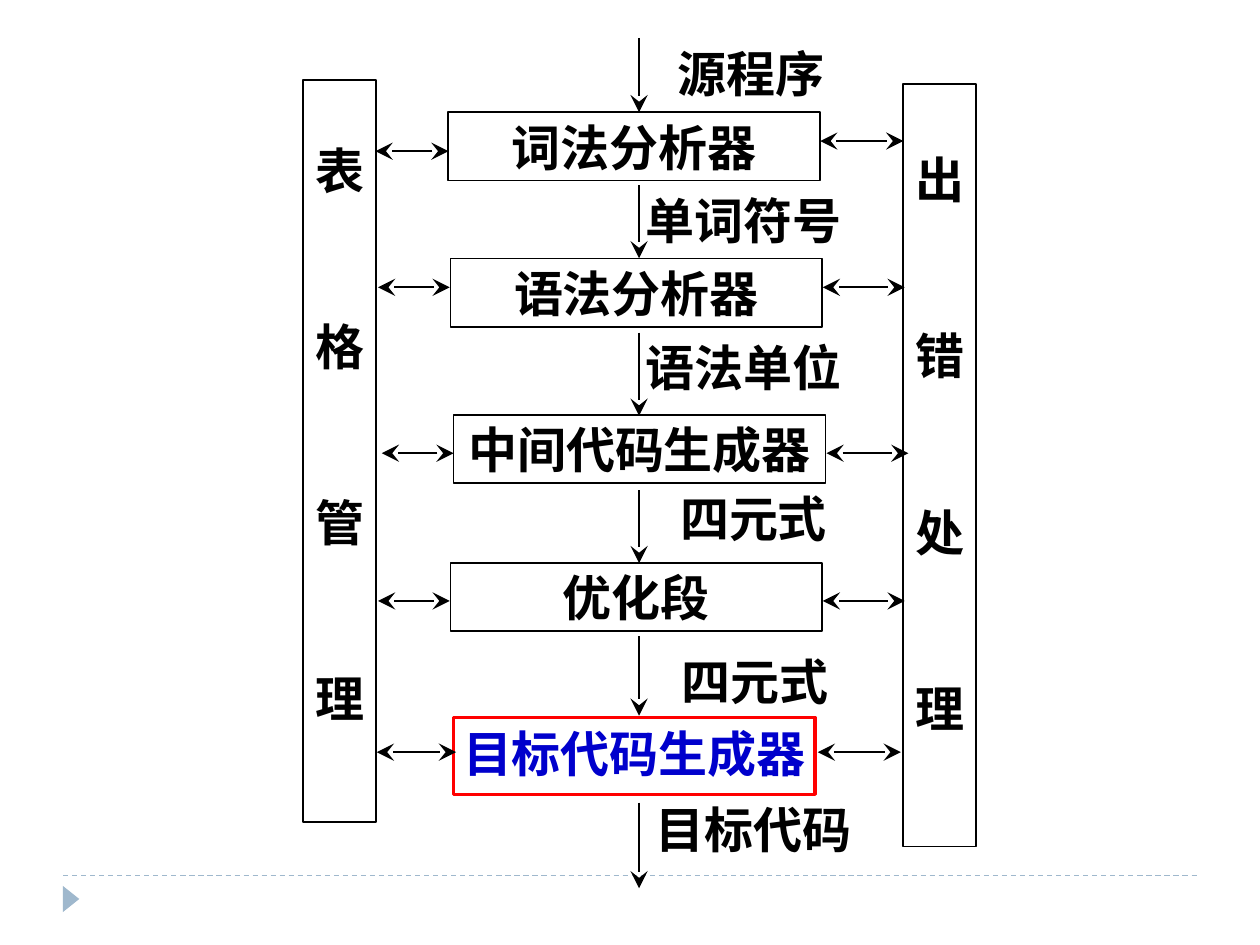
from typing import NamedTuple

from lxml.etree import SubElement
from pptx import Presentation
from pptx.dml.color import RGBColor
from pptx.enum.dml import MSO_LINE
from pptx.enum.shapes import MSO_CONNECTOR, MSO_SHAPE
from pptx.enum.text import MSO_ANCHOR, PP_ALIGN
from pptx.oxml.ns import qn
from pptx.util import Pt

COLORS = {"black": "000000", "red": "FF0000", "blue": "0000CC", "footer": "9FB8CD"}
FONT = {"name": "Noto Sans CJK SC", "size": Pt(28), "bold": True}
FLOW_X = 365.2
LABEL_WIDTH, LABEL_HEIGHT = 124, 42
COLUMN_WIDTH, COLUMN_GAP = 41.4, 67.1


class Stage(NamedTuple):
    text: str
    left: float
    top: float
    width: float = 212.5
    height: float = 39
    text_color: str = "black"
    border: str = "black"
    border_width: float = 1
    bottom_inset: float = 0


class Flow(NamedTuple):
    text: str
    start: float
    end: float
    label_x: float  # centre of the label
    label_y: float


class SideColumn(NamedTuple):
    text: str
    left: float
    top: float
    height: float
    top_inset: float


class Exchange(NamedTuple):
    left_y: float
    left_from: float
    left_to: float
    right_y: float
    right_from: float
    right_to: float


STAGES = [
    Stage("词法分析器", 256.2, 64.2),
    Stage("语法分析器", 257.4, 147.8),
    Stage("中间代码生成器", 259.2, 237),
    Stage("优化段", 257.4, 321.8),
    Stage("目标代码生成器", 259.2, 410, 206.6, 44, "blue", "red", 1.75, 4),
]
FLOWS = [
    Flow("源程序", 21.6, 64.1, 429.1, 41.8),
    Flow("单词符号", 105.8, 147.6, 424.8, 125.6),
    Flow("语法单位", 190.1, 237.6, 424.8, 209.6),
    Flow("四元式", 280.1, 321.8, 430.6, 296),
    Flow("四元式", 363.6, 409, 431.3, 389.2),
    Flow("目标代码", 458.6, 507.6, 430.6, 473.6),
]
SIDE_COLUMNS = [
    SideColumn("表格管理", 173.3, 45.8, 424, 34.3),
    SideColumn("出错处理", 516.2, 48.1, 435.6, 37.4),
]
EXCHANGES = [
    Exchange(86.4, 256.3, 214.6, 80.6, 468.7, 516.2),
    Exchange(164.2, 257, 216, 164.2, 470.2, 517),
    Exchange(259, 259.2, 218.2, 259, 472.3, 519.1),
    Exchange(343.4, 257, 216, 343.4, 470.2, 517),
    Exchange(429.8, 260.6, 215.3, 429.8, 467.3, 514.8),
]


def color(key: str) -> RGBColor:
    return RGBColor.from_string(COLORS[key])


def write_text(shape, lines: list[str], text_color: str = "black",
               anchor=MSO_ANCHOR.MIDDLE, top_inset: float = 0,
               bottom_inset: float = 0, gap: float = 0) -> None:
    frame = shape.text_frame
    settings = {"word_wrap": True, "vertical_anchor": anchor,
                "margin_left": 0, "margin_right": 0,
                "margin_top": Pt(top_inset), "margin_bottom": Pt(bottom_inset)}
    for key, value in settings.items():
        setattr(frame, key, value)
    for index, line in enumerate(lines):
        paragraph = frame.add_paragraph() if index else frame.paragraphs[0]
        paragraph.alignment = PP_ALIGN.CENTER
        if index:
            paragraph.space_before = Pt(gap)
        run = paragraph.add_run()
        run.text = line
        for key, value in FONT.items():
            setattr(run.font, key, value)
        run.font.color.rgb = color(text_color)
        SubElement(run.font._element, qn("a:ea"), typeface=FONT["name"])


def add_frame(slide, left: float, top: float, width: float, height: float,
              border: str = "black", border_width: float = 1):
    frame = slide.shapes.add_shape(MSO_SHAPE.RECTANGLE, Pt(left), Pt(top),
                                   Pt(width), Pt(height))
    frame.shadow.inherit = False
    frame.fill.background()
    frame.line.color.rgb = color(border)
    frame.line.width = Pt(border_width)
    return frame


def add_line(slide, x1: float, y1: float, x2: float, y2: float,
             ends: tuple = (), line_color: str = "black", width: float = 1):
    connector = slide.shapes.add_connector(MSO_CONNECTOR.STRAIGHT,
                                           Pt(x1), Pt(y1), Pt(x2), Pt(y2))
    connector.line.color.rgb = color(line_color)
    connector.line.width = Pt(width)
    outline = connector.line._get_or_add_ln()
    for end in ends:
        SubElement(outline, qn(f"a:{end}"), type="stealth", w="lg", len="lg")
    SubElement(connector._element.spPr, qn("a:effectLst"))
    return connector


def add_stage(slide, stage: Stage) -> None:
    box = add_frame(slide, stage.left, stage.top, stage.width, stage.height,
                    stage.border, stage.border_width)
    write_text(box, [stage.text], stage.text_color,
               bottom_inset=stage.bottom_inset)


def add_flow(slide, flow: Flow) -> None:
    add_line(slide, FLOW_X, flow.start, FLOW_X, flow.end, ("tailEnd",))
    label = slide.shapes.add_textbox(Pt(flow.label_x - LABEL_WIDTH / 2),
                                     Pt(flow.label_y - LABEL_HEIGHT / 2),
                                     Pt(LABEL_WIDTH), Pt(LABEL_HEIGHT))
    write_text(label, [flow.text])


def add_side_column(slide, column: SideColumn) -> None:
    box = add_frame(slide, column.left, column.top, COLUMN_WIDTH, column.height)
    write_text(box, list(column.text), anchor=MSO_ANCHOR.TOP,
               top_inset=column.top_inset, gap=COLUMN_GAP)


def add_exchange(slide, link: Exchange) -> None:
    both = ("headEnd", "tailEnd")
    add_line(slide, link.left_from, link.left_y, link.left_to, link.left_y, both)
    add_line(slide, link.right_from, link.right_y, link.right_to, link.right_y, both)


def add_footer(slide) -> None:
    rule = add_line(slide, 36, 500.4, 684, 500.4, (), "footer", 0.75)
    rule.line.dash_style = MSO_LINE.DASH
    marker = slide.shapes.add_shape(MSO_SHAPE.ISOSCELES_TRIANGLE,
                                    Pt(33.1), Pt(509), Pt(15), Pt(9.4))
    marker.rotation = 90
    marker.shadow.inherit = False
    marker.fill.solid()
    marker.fill.fore_color.rgb = color("footer")
    marker.line.fill.background()


def main() -> None:
    deck = Presentation()
    deck.slide_width, deck.slide_height = Pt(720), Pt(540)
    slide = deck.slides.add_slide(deck.slide_layouts[6])

    add_footer(slide)

    # Compiler stages and what passes between them
    for stage in STAGES:
        add_stage(slide, stage)
    for flow in FLOWS:
        add_flow(slide, flow)

    # Shared columns and their two-way arrows to the stages
    for column in SIDE_COLUMNS:
        add_side_column(slide, column)
    for link in EXCHANGES:
        add_exchange(slide, link)

    deck.save("out.pptx")


if __name__ == "__main__":
    main()
